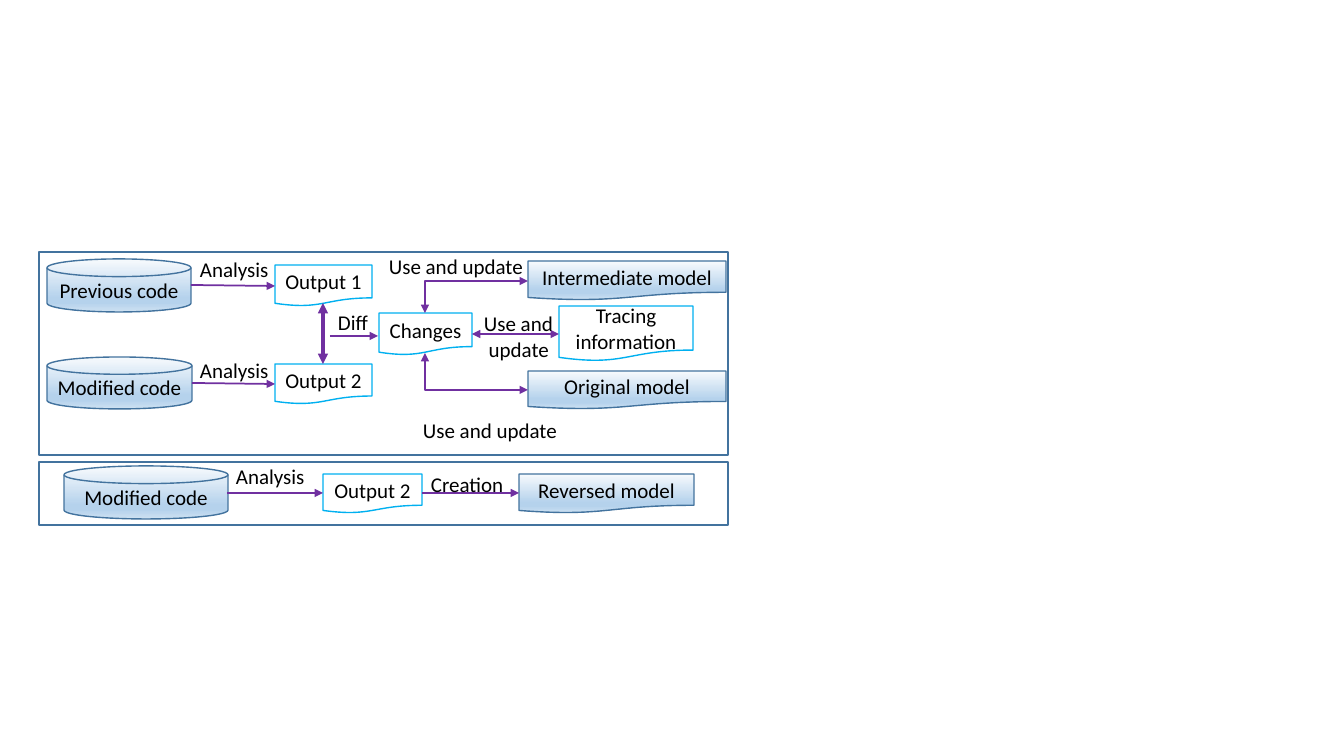
import copy
import lxml.etree
import pptx
import pptx.dml.color
import pptx.enum.shapes
import pptx.enum.text
import pptx.oxml
import pptx.oxml.ns
import pptx.util

qn = pptx.oxml.ns.qn
PRESET = pptx.enum.shapes.MSO_SHAPE
CONNECTOR = pptx.enum.shapes.MSO_CONNECTOR
COLORS = {
    "text": "000000", "edge": "43739E", "output": "00B0F0", "arrow": "7030A0",
    "paper": "FFFFFF", "pale": "F7FAFD", "blue": "B5D2EC", "light": "CEE1F2",
}
GRADIENT = [(0, "pale"), (0.74, "blue"), (0.83, "blue"), (1, "light")]
FONT = {"name": "Calibri", "size": pptx.util.Pt(15)}
NODE_FRAME = {
    "word_wrap": True, "vertical_anchor": pptx.enum.text.MSO_ANCHOR.MIDDLE,
    "margin_left": 0, "margin_right": 0, "margin_top": 0, "margin_bottom": 0,
}
LABEL_FRAME = {"word_wrap": False, "auto_size": pptx.enum.text.MSO_AUTO_SIZE.SHAPE_TO_FIT_TEXT}


def px(length):
    return pptx.util.Emu(round(length * 914400 / 100.8))


def rgb(name):
    return pptx.dml.color.RGBColor.from_string(COLORS[name])


def assign(target, values):
    for name, value in values.items():
        setattr(target, name, value)


class Diagram:
    def __init__(self, slide):
        self.shapes = slide.shapes

    def caption(self, shape, text, frame_format, align):
        frame = shape.text_frame
        assign(frame, frame_format)
        frame.text = text
        paragraph = frame.paragraphs[0]
        paragraph.alignment = align
        for run in paragraph.runs:
            assign(run.font, FONT)
            run.font.color.rgb = rgb("text")

    def outlined(self, preset, box, edge):
        shape = self.shapes.add_shape(preset, *map(px, box))
        shape.shadow.inherit = False
        shape.line.color.rgb = rgb(edge)
        shape.line.width = pptx.util.Pt(1)
        return shape

    def frame(self, *box):
        self.outlined(PRESET.RECTANGLE, box, "edge").fill.background()

    def shaded(self, preset, text, *box):
        shape = self.outlined(preset, box, "edge")
        shape.fill.gradient()
        shape.fill.gradient_angle = 270
        stops = shape._element.spPr.find(".//" + qn("a:gsLst"))
        for _ in GRADIENT[2:]:
            stops.append(copy.deepcopy(stops[0]))
        for stop, (position, color) in zip(shape.fill.gradient_stops, GRADIENT):
            stop.position = position
            stop.color.rgb = rgb(color)
        self.caption(shape, text, NODE_FRAME, pptx.enum.text.PP_ALIGN.CENTER)

    def store(self, text, *box):
        self.shaded(PRESET.FLOWCHART_MAGNETIC_DISK, text, *box)

    def model(self, text, *box):
        self.shaded(PRESET.FLOWCHART_DOCUMENT, text, *box)

    def output(self, text, *box):
        shape = self.outlined(PRESET.FLOWCHART_DOCUMENT, box, "output")
        shape.fill.solid()
        shape.fill.fore_color.rgb = rgb("paper")
        paper = shape._element.spPr.find(qn("a:solidFill"))[0]
        lxml.etree.SubElement(paper, qn("a:alpha"), val="46000")
        self.caption(shape, text, NODE_FRAME, pptx.enum.text.PP_ALIGN.CENTER)

    def label(self, text, *box):
        shape = self.shapes.add_textbox(*map(px, box))
        self.caption(shape, text, LABEL_FRAME, pptx.enum.text.PP_ALIGN.LEFT)

    def arrow(self, *ends, both=False, width=1.25, bent=False):
        kind = CONNECTOR.ELBOW if bent else CONNECTOR.STRAIGHT
        link = self.shapes.add_connector(kind, *map(px, ends))
        link.line.color.rgb = rgb("arrow")
        link.line.width = pptx.util.Pt(width)
        properties = link._element.spPr
        if bent:
            properties.find(qn("a:prstGeom")).set("prst", "bentConnector2")
        line = properties.find(qn("a:ln"))
        for tip in ["headEnd", "tailEnd"] if both else ["tailEnd"]:
            lxml.etree.SubElement(line, qn("a:" + tip), type="triangle")
        lxml.etree.SubElement(properties, qn("a:effectLst"))


presentation = pptx.Presentation()
presentation.slide_width = px(1344)
presentation.slide_height = px(756)
diagram = Diagram(presentation.slides.add_slide(presentation.slide_layouts[6]))

diagram.store("Previous code", 47, 259, 144, 53)
diagram.store("Modified code", 47, 357, 145, 52)
diagram.output("Output 1", 275, 265, 97, 41)
diagram.output("Output 2", 275, 364, 97, 40)
diagram.arrow(191, 285, 275, 286)
diagram.arrow(192, 383, 275, 384)
for top in (252, 353):
    diagram.label("Analysis", 190, top, 90, 35)
diagram.arrow(323, 303, 323, 364, both=True, width=2.5)

diagram.model("Intermediate model", 528, 261, 198, 39)
diagram.output("Changes", 379, 313, 93, 42)
diagram.arrow(330, 336, 378, 336)
diagram.label("Diff", 328, 305, 51, 35)
diagram.output("Tracing information", 559, 306, 134, 55)
diagram.model("Original model", 528, 371, 198, 38)
diagram.arrow(472, 334, 559, 334, both=True)
for model_y, changes_y in ((281, 313), (390, 353)):
    diagram.arrow(528, model_y, 425, changes_y, both=True, bent=True)
for left, top in ((379, 249), (413, 413)):
    diagram.label("Use and update", left, top, 155, 35)
diagram.label("Use and\v update", 474, 306, 90, 60)
diagram.frame(39, 252, 689, 203)

diagram.store("Modified code", 64, 466, 164, 53)
diagram.output("Output 2", 323, 474, 99, 39)
diagram.label("Analysis", 226, 459, 90, 35)
diagram.arrow(227, 493, 323, 493)
diagram.model("Reversed model", 519, 474, 175, 39)
diagram.arrow(422, 493, 519, 493)
diagram.label("Creation", 421, 467, 94, 35)
diagram.frame(39, 462, 689, 63)

presentation.save("out.pptx")
